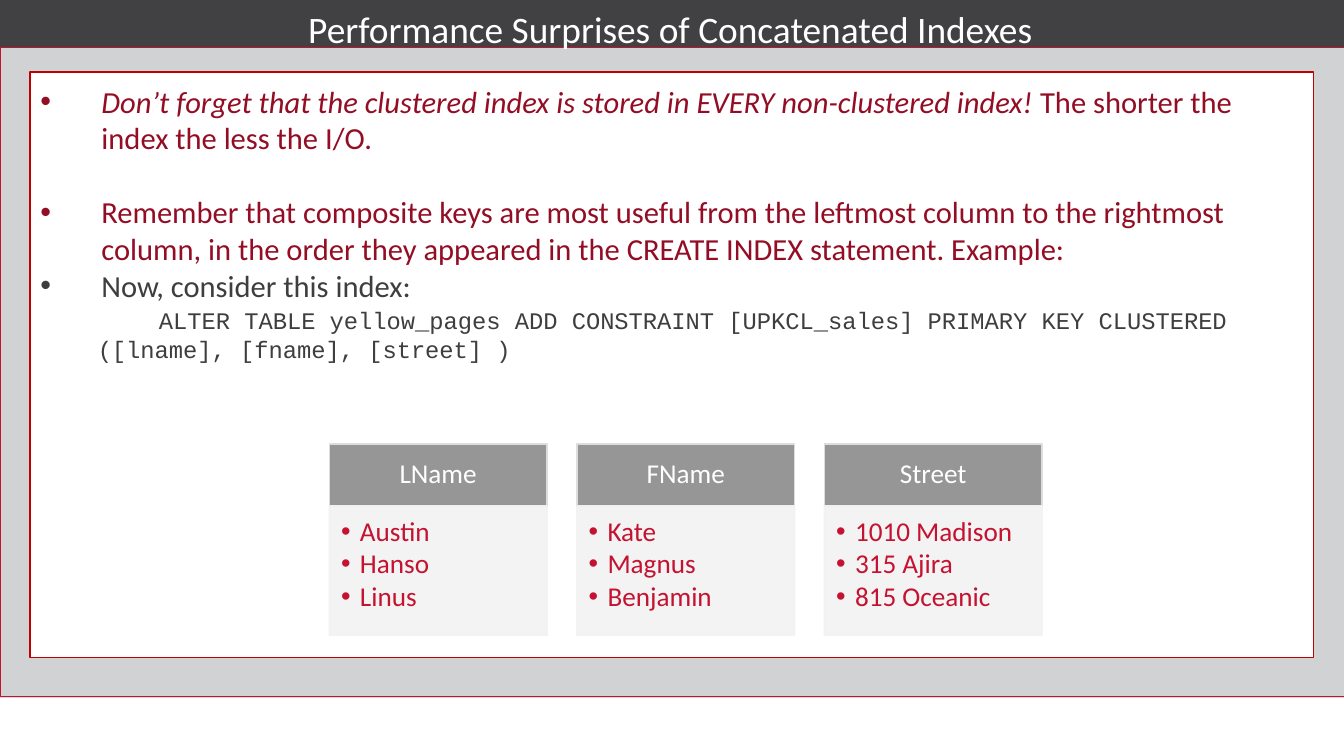
from dataclasses import dataclass

from lxml.etree import SubElement
from pptx import Presentation
from pptx.dml.color import RGBColor
from pptx.enum.shapes import MSO_CONNECTOR, MSO_SHAPE
from pptx.enum.text import MSO_ANCHOR, PP_ALIGN
from pptx.oxml.ns import qn
from pptx.util import Pt

PX = 9144  # 100 px to the inch
WIDTH, HEIGHT = 2199, 1237
WHITE, CRIMSON, DARK_RED, INK, PALE = "FFFFFF", "C41230", "930D24", "3E3E3E", "F2F2F2"


def color(hex_string):
    return RGBColor.from_string(hex_string)


@dataclass
class Run:
    text: str
    size: int
    color: str
    font: str = "Calibri"
    italic: bool = False


@dataclass
class Para:
    """Runs with their layout: margin and indent in px, spacing in points."""
    runs: list
    align: PP_ALIGN = PP_ALIGN.LEFT
    margin: int = 0
    indent: int = 0
    bullet: bool = False
    before: int = 0
    after: int = 0
    line_spacing: float = 1.0


class SlideBuilder:
    def __init__(self, slide):
        self.shapes = slide.shapes

    def rectangle(self, x, y, w, h, fill, line=None, line_width=2, alpha=None):
        shape = self.shapes.add_shape(MSO_SHAPE.RECTANGLE, x * PX, y * PX, w * PX, h * PX)
        shape.shadow.inherit = False
        shape.fill.solid()
        shape.fill.fore_color.rgb = color(fill)
        if line:
            shape.line.color.rgb = color(line)
            shape.line.width = Pt(line_width)
        else:
            shape.line.fill.background()
        if alpha:
            for tone in shape._element.spPr.iter(qn("a:srgbClr")):
                SubElement(tone, qn("a:alpha"), val=str(alpha * 1000))
        return shape

    def line(self, x1, y1, x2, y2, stroke, width):
        rule = self.shapes.add_connector(
            MSO_CONNECTOR.STRAIGHT, x1 * PX, y1 * PX, x2 * PX, y2 * PX)
        rule.line.color.rgb = color(stroke)
        rule.line.width = Pt(width)
        SubElement(rule._element.spPr, qn("a:effectLst"))

    def text_box(self, x, y, w, h, paras):
        box = self.shapes.add_textbox(x * PX, y * PX, w * PX, h * PX)
        self.set_text(box, paras)

    def set_text(self, shape, paras, insets=(0, 0, 0, 0), anchor=MSO_ANCHOR.TOP):
        """Fill a shape with paragraphs; insets run left, top, right, bottom."""
        frame = shape.text_frame
        frame.word_wrap = True
        frame.vertical_anchor = anchor
        (frame.margin_left, frame.margin_top,
         frame.margin_right, frame.margin_bottom) = (inset * PX for inset in insets)
        for index, para in enumerate(paras):
            paragraph = frame.add_paragraph() if index else frame.paragraphs[0]
            self.fill_paragraph(paragraph, para)

    def fill_paragraph(self, paragraph, para):
        paragraph.alignment = para.align
        paragraph.line_spacing = para.line_spacing
        paragraph.space_before = Pt(para.before)
        paragraph.space_after = Pt(para.after)
        properties = paragraph._p.get_or_add_pPr()
        properties.set("marL", str(para.margin * PX))
        properties.set("indent", str(para.indent * PX))
        if para.bullet:
            SubElement(properties, qn("a:buFont"), typeface="Arial")
            SubElement(properties, qn("a:buChar"), char="•")
        else:
            SubElement(properties, qn("a:buNone"))
        for item in para.runs:
            run = paragraph.add_run()
            run.text = item.text
            run.font.size = Pt(item.size)
            run.font.name = item.font
            run.font.italic = item.italic
            run.font.color.rgb = color(item.color)

    def column_card(self, x, y, heading, values):
        width, heading_height, list_height = 356, 101, 211
        header = self.rectangle(x, y, width, heading_height, "969696", "DDDDDD")
        self.set_text(header,
                      [Para([Run(heading, 32, WHITE)], PP_ALIGN.CENTER, line_spacing=0.9)],
                      (25, 14, 25, 14), MSO_ANCHOR.MIDDLE)
        value_list = self.rectangle(
            x, y + heading_height, width, list_height, PALE, PALE, alpha=90)
        self.set_text(value_list,
                      [Para([Run(value, 32, CRIMSON)], margin=31, indent=-31, bullet=True,
                            after=4, line_spacing=0.9) for value in values],
                      (19, 19, 25, 28))


def point(*runs, before=0):
    return Para(list(runs), margin=100, indent=-100, bullet=True, before=before)


ADVICE = [
    point(Run("Don’t forget that the clustered index is stored in EVERY "
              "non-clustered index! ", 36, DARK_RED, italic=True),
          Run("The shorter the index the less the I/O.", 36, DARK_RED)),
    point(Run("Remember that composite keys are most useful from the leftmost column to "
              "the rightmost column, in the order they appeared in the CREATE INDEX "
              "statement. Example:", 36, DARK_RED), before=44),
    point(Run("Now, consider this index:", 36, INK)),
    Para([Run("ALTER TABLE yellow_pages ADD CONSTRAINT [UPKCL_sales] PRIMARY KEY "
              "CLUSTERED ([lname], [fname], [street] )", 28, INK, "Courier New")],
         margin=94, indent=100, before=3),
]

INDEX_COLUMNS = {
    "LName": ["Austin", "Hanso", "Linus"],
    "FName": ["Kate", "Magnus", "Benjamin"],
    "Street": ["1010 Madison", "315 Ajira", "815 Oceanic"],
}


def main():
    deck = Presentation()
    deck.slide_width, deck.slide_height = WIDTH * PX, HEIGHT * PX
    builder = SlideBuilder(deck.slides.add_slide(deck.slide_layouts[6]))

    builder.rectangle(0, 0, WIDTH, 78, "414042")
    builder.line(0, 1140, WIDTH, 1140, "D8D8D8", 2)
    builder.rectangle(0, 78, WIDTH, 1061, "D1D2D3", CRIMSON, 0.75)
    builder.rectangle(49, 118, 2100, 958, WHITE, "C00000")

    builder.text_box(46, 10, 2103, 74, [
        Para([Run("Performance Surprises of Concatenated Indexes", 44, WHITE)],
             PP_ALIGN.CENTER)])
    builder.text_box(66, 135, 2067, 559, ADVICE)

    for index, (heading, values) in enumerate(INDEX_COLUMNS.items()):
        builder.column_card(539 + index * 405, 727, heading, values)

    deck.save("out.pptx")


if __name__ == "__main__":
    main()
